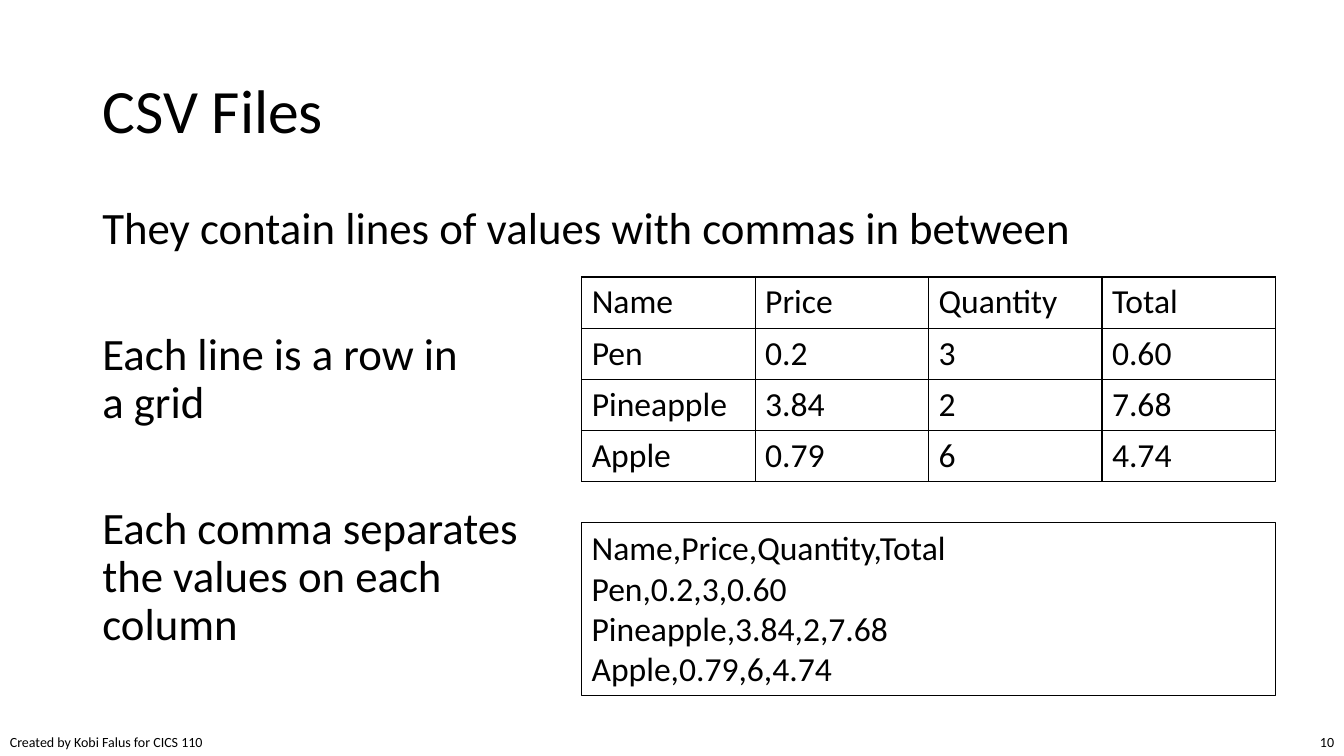
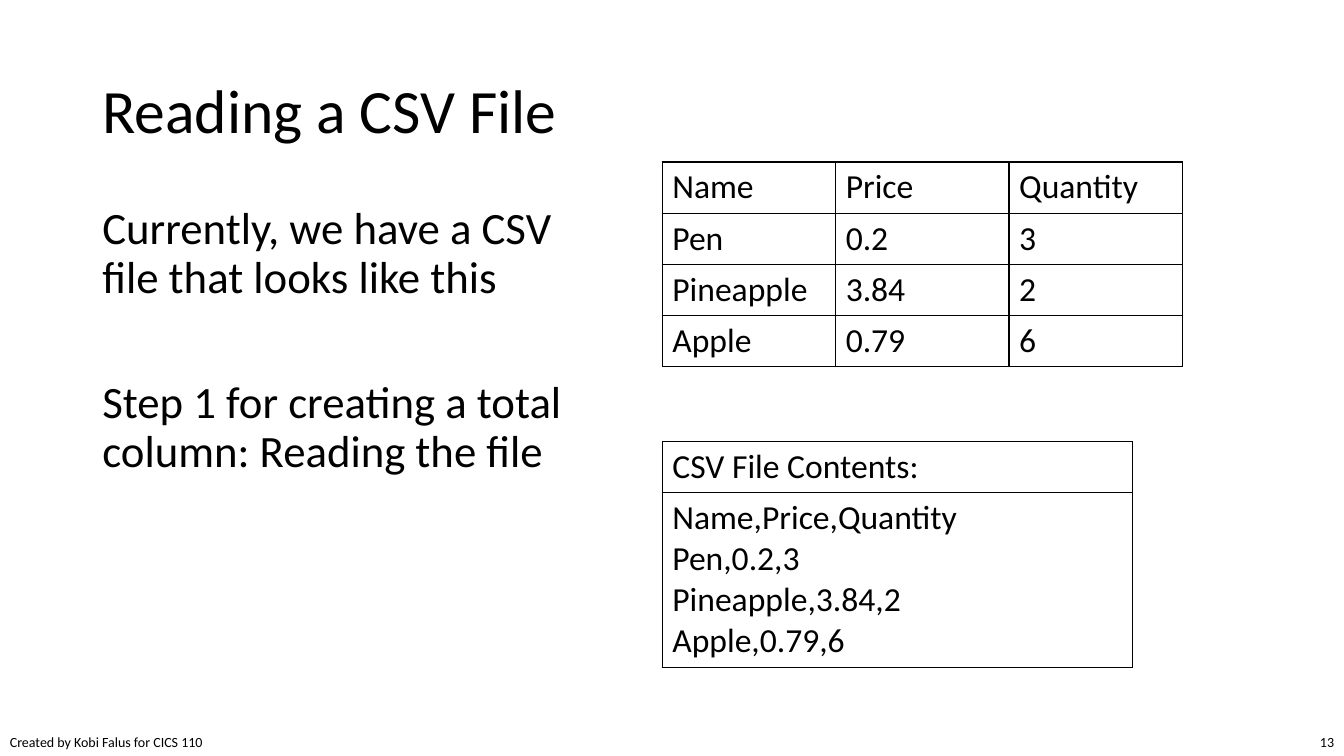
from lxml import etree
from pptx import Presentation
from pptx import util as u
from pptx.dml.color import RGBColor
from pptx.enum import shapes, text
from pptx.oxml import ns

BLACK = RGBColor(0, 0, 0)
WHITE = RGBColor(255, 255, 255)
FONT = "Calibri"
FOOTER = "Created by Kobi Falus for CICS 110"
MARGIN = 2.33
COLUMN = 4.37
ROW = 1.29
CONTENTS_ROW = 4.39


def write(frame, words, size=24, align=text.PP_ALIGN.LEFT, anchor=text.MSO_ANCHOR.TOP,
          spacing=1.0, gap=0, wrap=True):
    frame.word_wrap = wrap
    frame.vertical_anchor = anchor
    for index, line in enumerate(words.split("\n")):
        para = frame.add_paragraph() if index else frame.paragraphs[0]
        para.text = line
        para.alignment = align
        para.line_spacing = spacing
        para.space_before = u.Pt(gap if index else 0)
        for span in para.runs:
            span.font.name = FONT
            span.font.size = u.Pt(size)
            span.font.color.rgb = BLACK


def add_grid(page, rows, left, top, column, heights):
    table = page.shapes.add_table(
        len(rows), len(rows[0]), u.Cm(left), u.Cm(top),
        u.Cm(column * len(rows[0])), u.Cm(sum(heights))).table
    table.first_row = False
    table.horz_banding = False
    for grid_column in table.columns:
        grid_column.width = u.Cm(column)
    for grid_row, height, values in zip(table.rows, heights, rows):
        grid_row.height = u.Cm(height)
        for cell, value in zip(grid_row.cells, values):
            write(cell.text_frame, value)
            properties = cell._tc.get_or_add_tcPr()
            for side in ("lnL", "lnR", "lnT", "lnB"):
                border = etree.SubElement(properties, ns.qn(f"a:{side}"), w=str(u.Pt(1)))
                fill = etree.SubElement(border, ns.qn("a:solidFill"))
                etree.SubElement(fill, ns.qn("a:srgbClr"), val=str(BLACK))
            cell.fill.background()


deck = Presentation()
deck.slide_width = u.Cm(33.87)
deck.slide_height = u.Cm(19.05)

contents = [
    ("10", "CSV Files", 29.21,
     "They contain lines of values with commas in between\n"
     "Each line is a row in \va grid\n"
     "Each comma separates\vthe values on each \vcolumn"),
    ("13", "Reading a CSV File", 12.7,
     "Currently, we have a CSV file that looks like this\n"
     "Step 1 for creating a total column: Reading the file"),
]
pages = []
for number, title, body_width, body in contents:
    page = deck.slides.add_slide(deck.slide_layouts[6])
    page.background.fill.solid()
    page.background.fill.fore_color.rgb = WHITE
    for words, left, top, width, height, style in (
        (FOOTER, 0, 18.37, 5.46, 0.68, dict(size=10, wrap=False)),
        (number, 32.47, 18.37, 1.4, 0.68, dict(size=10, align=text.PP_ALIGN.RIGHT)),
        (title, MARGIN, 1.01, 29.21, 3.68,
         dict(size=44, spacing=0.9, anchor=text.MSO_ANCHOR.MIDDLE)),
        (body, MARGIN, 5.07, body_width, 12.09, dict(size=32, spacing=0.9, gap=55)),
    ):
        box = page.shapes.add_textbox(u.Cm(left), u.Cm(top), u.Cm(width), u.Cm(height))
        write(box.text_frame, words, **style)
    pages.append(page)
files_page, reading_page = pages

totals = [
    ("Name", "Price", "Quantity", "Total"),
    ("Pen", "0.2", "3", "0.60"),
    ("Pineapple", "3.84", "2", "7.68"),
    ("Apple", "0.79", "6", "4.74"),
]
items = [row[:3] for row in totals]
totals_csv, items_csv = ("\n".join(",".join(row) for row in rows) for rows in (totals, items))

add_grid(files_page, totals, 14.66, 6.98, COLUMN, [ROW] * 4)
csv_box = files_page.shapes.add_shape(
    shapes.MSO_SHAPE.RECTANGLE, u.Cm(14.66), u.Cm(13.16), u.Cm(COLUMN * 4), u.Cm(4.37))
csv_box.shadow.inherit = False
csv_box.fill.background()
csv_box.line.color.rgb = BLACK
csv_box.line.width = u.Pt(0.75)
write(csv_box.text_frame, totals_csv)

add_grid(reading_page, items, 16.69, 4.08, COLUMN, [ROW] * 4)
add_grid(reading_page, [("CSV File Contents:",), (items_csv,)], 16.69, 11.13, 11.86,
         [ROW, CONTENTS_ROW])

deck.save("out.pptx")
